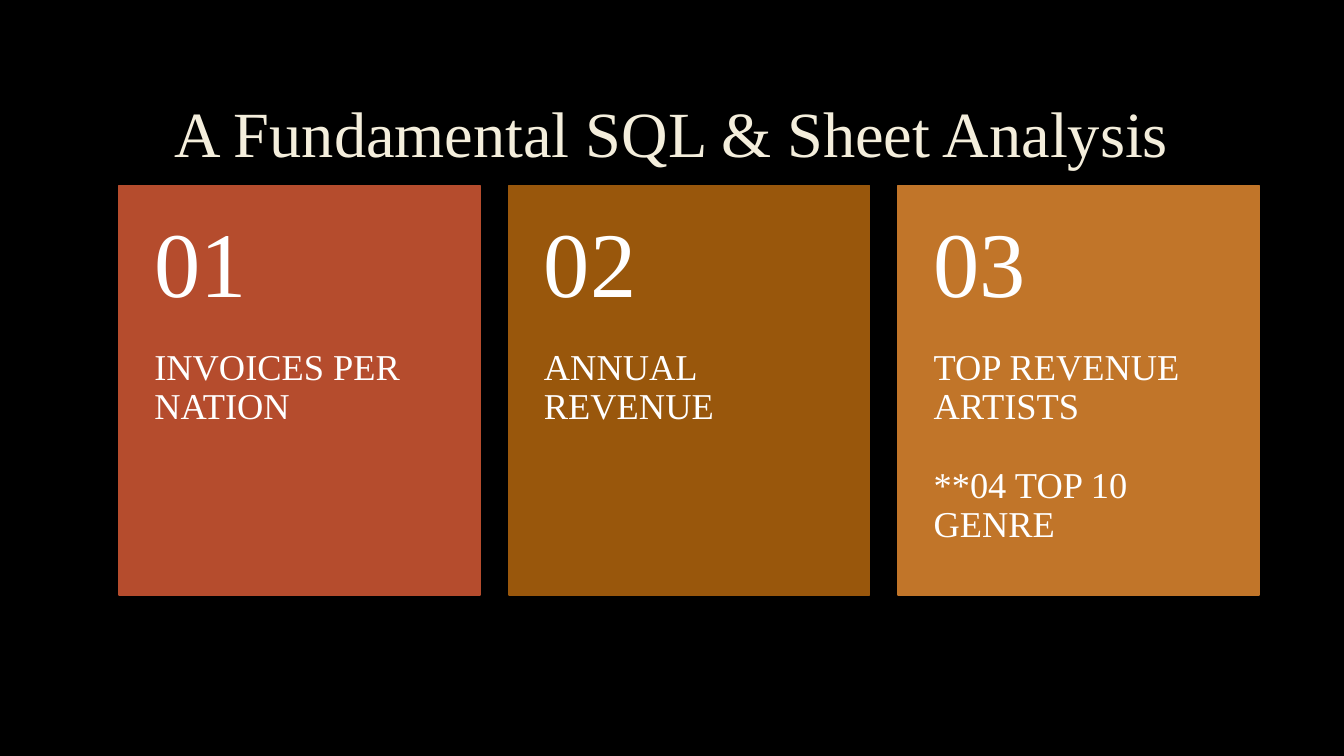
from lxml import etree
from pptx import Presentation
from pptx import util as u
from pptx.dml.color import RGBColor
from pptx.enum import shapes, text
from pptx.oxml import ns

FONT = "Times New Roman"
CARDS = [
    ("01", ["INVOICES PER NATION"], "B54C2D"),
    ("02", ["ANNUAL REVENUE"], "99570C"),
    ("03", ["TOP REVENUE ARTISTS", "**04 TOP 10 GENRE"], "C17529"),
]


def color(value):
    return RGBColor.from_string(value)


def apply(target, formats):
    for name, value in formats.items():
        setattr(target, name, value)


def place(shape, box):
    names = ("left", "top", "width", "height")
    apply(shape, {name: u.Inches(value) for name, value in zip(names, box)})


def add_run(paragraph, words, size, fill):
    paragraph.line_spacing = 0.9
    run = paragraph.add_run()
    run.text = words
    apply(run.font, {"size": u.Pt(size), "name": FONT})
    run.font.color.rgb = color(fill)
    return run


def outline_text(run, line_color, width, alpha):
    """Give the letters a thin, mostly transparent outline."""
    line = etree.Element(ns.qn("a:ln"), w=str(u.Pt(width)))
    fill = etree.SubElement(line, ns.qn("a:solidFill"))
    tone = etree.SubElement(fill, ns.qn("a:srgbClr"), val=line_color)
    etree.SubElement(tone, ns.qn("a:alpha"), val=str(alpha * 1000))
    run.font._element.insert(0, line)


def add_title(slide, box, words):
    title = slide.shapes.title
    place(title, box)
    apply(title.text_frame, {
        "word_wrap": True,
        "auto_size": text.MSO_AUTO_SIZE.NONE,
        "vertical_anchor": text.MSO_ANCHOR.MIDDLE,
    })
    paragraph = title.text_frame.paragraphs[0]
    paragraph.alignment = text.PP_ALIGN.CENTER
    outline_text(add_run(paragraph, words, 46, "F4EEDC"), "404040", 0.75, 10)


def add_card_text(group, box, lines, size, anchor, margin_top, margin_bottom):
    text_box = group.shapes.add_textbox(*map(u.Inches, box))
    frame = text_box.text_frame
    apply(frame, {
        "word_wrap": True,
        "vertical_anchor": anchor,
        "margin_left": u.Inches(0.35),
        "margin_right": u.Inches(0.35),
        "margin_top": u.Inches(margin_top),
        "margin_bottom": u.Inches(margin_bottom),
    })
    for index, line in enumerate(lines):
        paragraph = frame.add_paragraph() if index else frame.paragraphs[0]
        if index:
            paragraph.space_before = u.Pt(28)
        add_run(paragraph, line, size, "FFFFFF")


def add_card(slide, box, number, lines, fill):
    left, top, width, height = box
    number_height = 0.4 * height
    group = slide.shapes.add_group_shape()

    # Coloured panel
    panel = group.shapes.add_shape(shapes.MSO_SHAPE.RECTANGLE, *map(u.Inches, box))
    panel.shadow.inherit = False
    panel.fill.solid()
    panel.fill.fore_color.rgb = color(fill)
    panel.line.color.rgb = color(fill)
    panel.line.width = u.Pt(1.25)

    # Topic below, number above
    add_card_text(group, (left, top + number_height, width, height - number_height),
                  lines, 26, text.MSO_ANCHOR.TOP, 0, 0.36)
    add_card_text(group, (left, top, width, number_height),
                  [number], 66, text.MSO_ANCHOR.MIDDLE, 0.18, 0.18)


def add_card_row(slide, box, cards, card_width):
    left, top, width, height = box
    pitch = (width - card_width) / (len(cards) - 1)
    for index, card in enumerate(cards):
        add_card(slide, (left + index * pitch, top, card_width, height), *card)


def main():
    presentation = Presentation()
    presentation.slide_width = u.Inches(13.33)
    presentation.slide_height = u.Inches(7.5)
    slide = presentation.slides.add_slide(presentation.slide_layouts.get_by_name("Title Only"))

    # Background
    slide.background.fill.solid()
    slide.background.fill.fore_color.rgb = color("000000")

    add_title(slide, (1, 0.67, 11.32, 1.38), "A Fundamental SQL & Sheet Analysis")
    add_card_row(slide, (1.18, 1.84, 11.31, 4.06), CARDS, 3.58)
    presentation.save("out.pptx")


if __name__ == "__main__":
    main()
